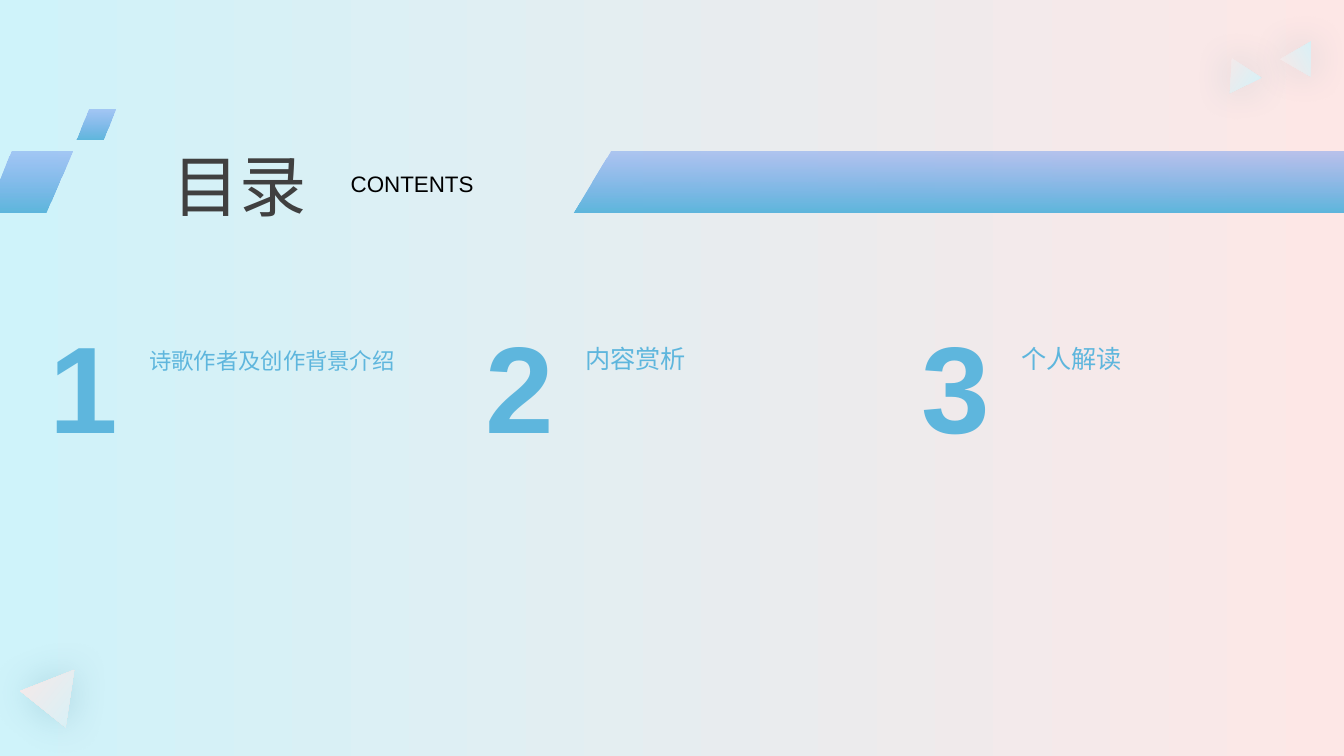
from dataclasses import dataclass

from lxml.etree import SubElement
from pptx import Presentation
from pptx.dml.color import RGBColor
from pptx.dml.fill import FillFormat
from pptx.enum.shapes import MSO_SHAPE
from pptx.enum.text import MSO_ANCHOR, MSO_AUTO_SIZE, PP_ALIGN
from pptx.oxml.ns import qn
from pptx.shapes.autoshape import Shape
from pptx.slide import Slide
from pptx.util import Cm, Pt

WIDTH, HEIGHT = 33.87, 19.05
SKY, ROSE, BLUE, VIOLET = "CFF3FA", "FDE7E6", "5EB6DD", "759EEF"
GRAY, BLACK, GLOW = "404040", "000000", "1B6382"
STEP = 10.99


@dataclass
class Box:
    left: float
    top: float
    width: float
    height: float

    def place(self, shape: Shape) -> None:
        shape.left, shape.top = Cm(self.left), Cm(self.top)
        shape.width, shape.height = Cm(self.width), Cm(self.height)


@dataclass
class Corner:
    box: Box
    turn: float
    flip: bool


@dataclass
class Topic:
    name: str
    size: int


CORNERS = [
    Corner(Box(0.74, 16.74, 1.47, 1.27), 38.6, False),
    Corner(Box(30.76, 1.65, 0.89, 0.76), 33.6, True),
    Corner(Box(32.39, 1.22, 0.89, 0.76), 330.2, True),
]
BANDS = [
    [(15.39, 3.81), (WIDTH, 3.81), (WIDTH, 5.36), (14.45, 5.36)],
    [(0.3, 3.81), (1.83, 3.81), (1.17, 5.36), (0, 5.36), (0, 4.55)],
]
TOPICS = [Topic("诗歌作者及创作背景介绍", 16), Topic("内容赏析", 18), Topic("个人解读", 18)]


def color(code: str) -> RGBColor:
    return RGBColor.from_string(code)


def blend(fill: FillFormat, first: str, last: str, angle: int = 0) -> None:
    """Fill with two colours; the angle runs counter-clockwise."""
    fill.gradient()
    fill.gradient_angle = angle
    for stop, code, spot in zip(fill.gradient_stops, (first, last), (0, 1)):
        stop.color.rgb = color(code)
        stop.position = spot


def plain(shape: Shape) -> None:
    """Take away the shadow and the outline."""
    shape.shadow.inherit = False
    shape.line.fill.background()


def add_glow(shape: Shape) -> None:
    """Put a soft, centred shadow behind the shape."""
    effects = shape._element.spPr.find(qn("a:effectLst"))
    shadow = SubElement(effects, qn("a:outerShdw"), blurRad=str(Pt(27)),
                        dist="0", dir="0", algn="ctr", rotWithShape="0")
    tint = SubElement(shadow, qn("a:srgbClr"), val=GLOW)
    SubElement(tint, qn("a:alpha"), val="20000")


def add_corner(slide: Slide, corner: Corner) -> None:
    shape = slide.shapes.add_shape(MSO_SHAPE.ISOSCELES_TRIANGLE, 0, 0, 0, 0)
    corner.box.place(shape)
    shape.rotation = corner.turn
    if corner.flip:
        shape._element.spPr.xfrm.set("flipV", "1")
    plain(shape)
    blend(shape.fill, ROSE, SKY)
    add_glow(shape)


def paint_band(shape: Shape) -> None:
    """Fade upward from blue to a half-clear violet."""
    plain(shape)
    blend(shape.fill, BLUE, VIOLET, 90)
    tint = shape._element.xpath(".//a:gs[2]/a:srgbClr")[0]
    SubElement(tint, qn("a:alpha"), val="50000")


def add_band(slide: Slide, points: list[tuple[float, float]]) -> None:
    start, *rest = [(Cm(x), Cm(y)) for x, y in points]
    path = slide.shapes.build_freeform(*start)
    path.add_line_segments(rest)
    paint_band(path.convert_to_shape())


def write(shape: Shape, words: str, size: int, code: str,
          bold: bool = False, anchor: MSO_ANCHOR = MSO_ANCHOR.TOP) -> None:
    frame = shape.text_frame
    frame.word_wrap = True
    frame.auto_size = MSO_AUTO_SIZE.NONE
    frame.vertical_anchor = anchor
    line = frame.paragraphs[0]
    line.alignment = PP_ALIGN.LEFT
    run = line.add_run()
    run.text = words
    run.font.name, run.font.size, run.font.bold = "Arial", Pt(size), bold
    run.font.color.rgb = color(code)


def add_text(slide: Slide, box: Box, words: str, size: int, code: str,
             bold: bool = False, anchor: MSO_ANCHOR = MSO_ANCHOR.TOP) -> None:
    shape = slide.shapes.add_textbox(0, 0, 0, 0)
    box.place(shape)
    write(shape, words, size, code, bold, anchor)


def add_topic(slide: Slide, index: int, topic: Topic) -> None:
    shift = index * STEP
    add_text(slide, Box(3.51 + shift, 8.43, 7.42, 1.12), topic.name,
             topic.size, BLUE, anchor=MSO_ANCHOR.BOTTOM)
    add_text(slide, Box(0.99 + shift, 7.7, 2.49, 4.01), str(index + 1),
             88, BLUE, bold=True)


def main() -> None:
    deck = Presentation()
    deck.slide_width, deck.slide_height = Cm(WIDTH), Cm(HEIGHT)
    slide = deck.slides.add_slide(deck.slide_layouts.get_by_name("Title Only"))
    blend(slide.background.fill, SKY, ROSE)

    for corner in CORNERS:
        add_corner(slide, corner)
    for points in BANDS:
        add_band(slide, points)
    slant = slide.shapes.add_shape(MSO_SHAPE.PARALLELOGRAM, 0, 0, 0, 0)
    Box(1.93, 2.77, 0.97, 0.74).place(slant)
    slant.adjustments[0] = 0.41
    paint_band(slant)

    for index, topic in enumerate(TOPICS):
        add_topic(slide, index, topic)
    add_text(slide, Box(8.59, 3.71, 4.7, 1.37), "CONTENTS", 16, BLACK,
             anchor=MSO_ANCHOR.BOTTOM)
    title = slide.shapes.title
    Box(4.09, 3.51, 5.94, 2.31).place(title)
    write(title, "目录", 48, GRAY)

    deck.save("out.pptx")


if __name__ == "__main__":
    main()
